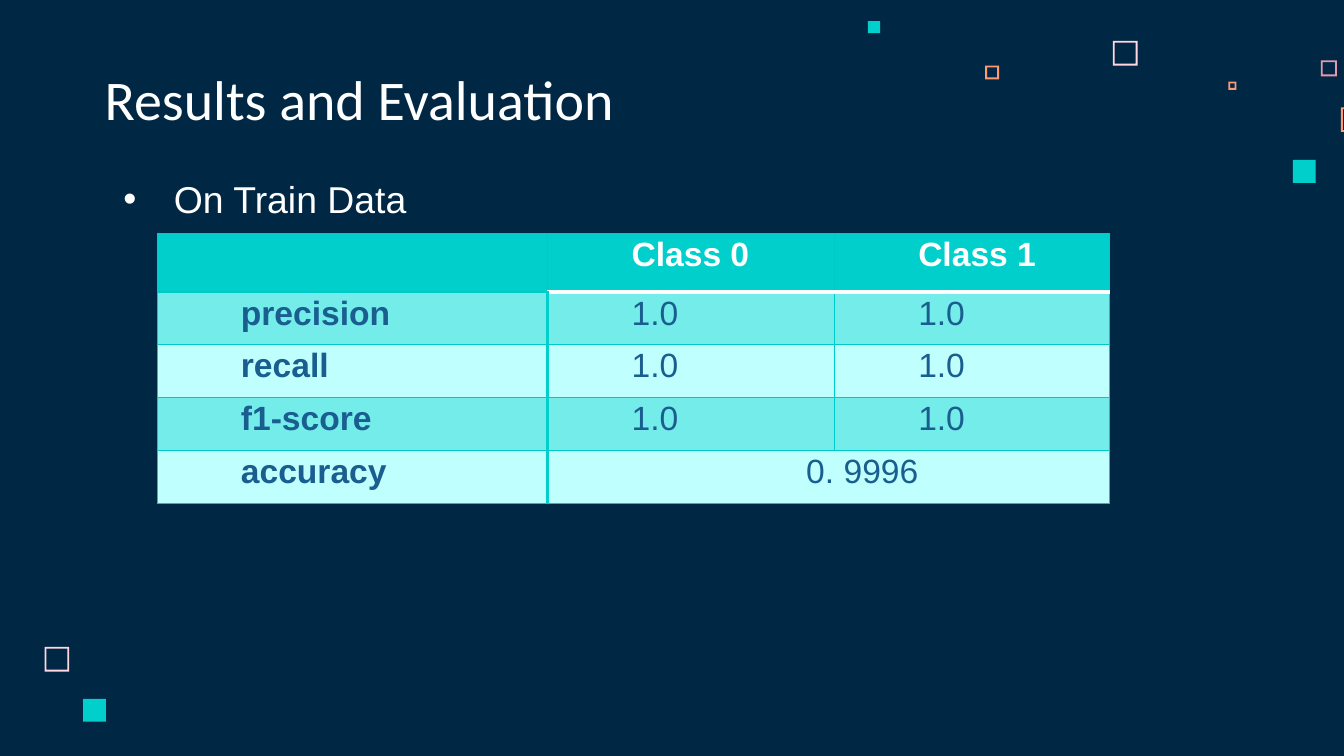
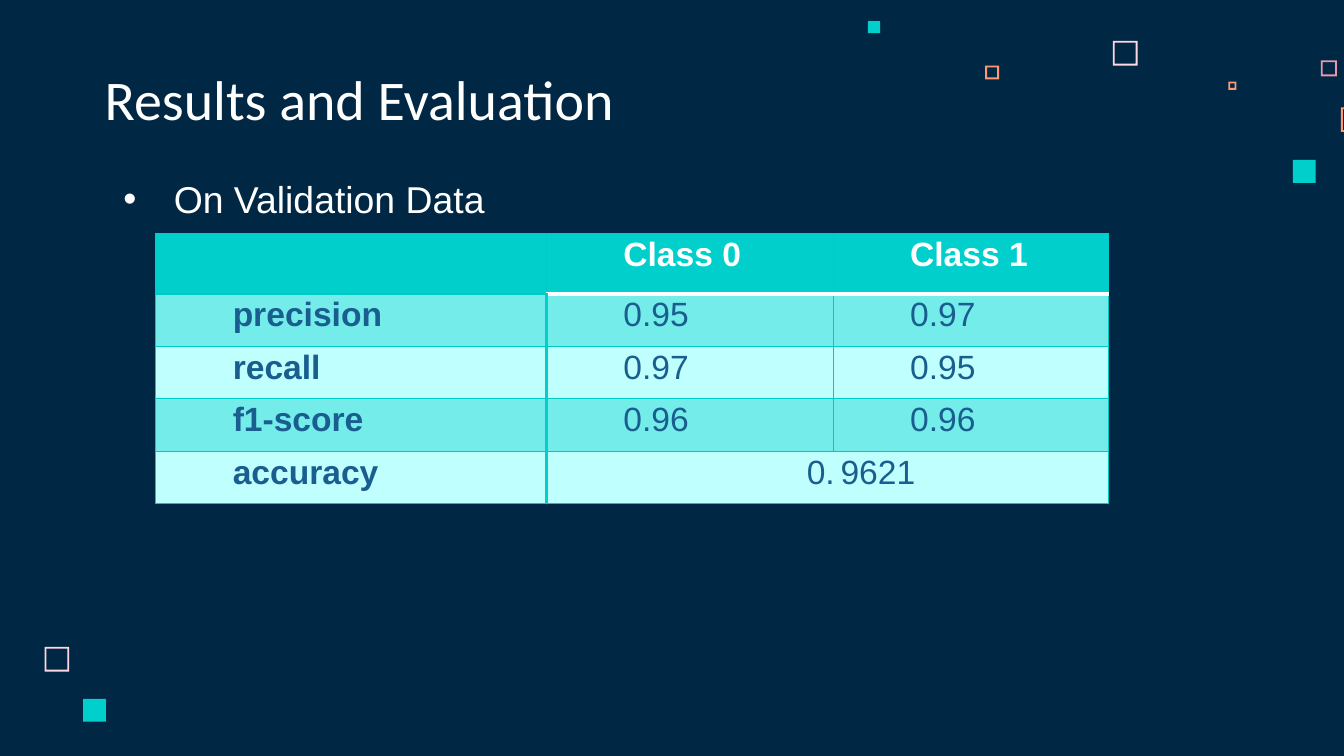
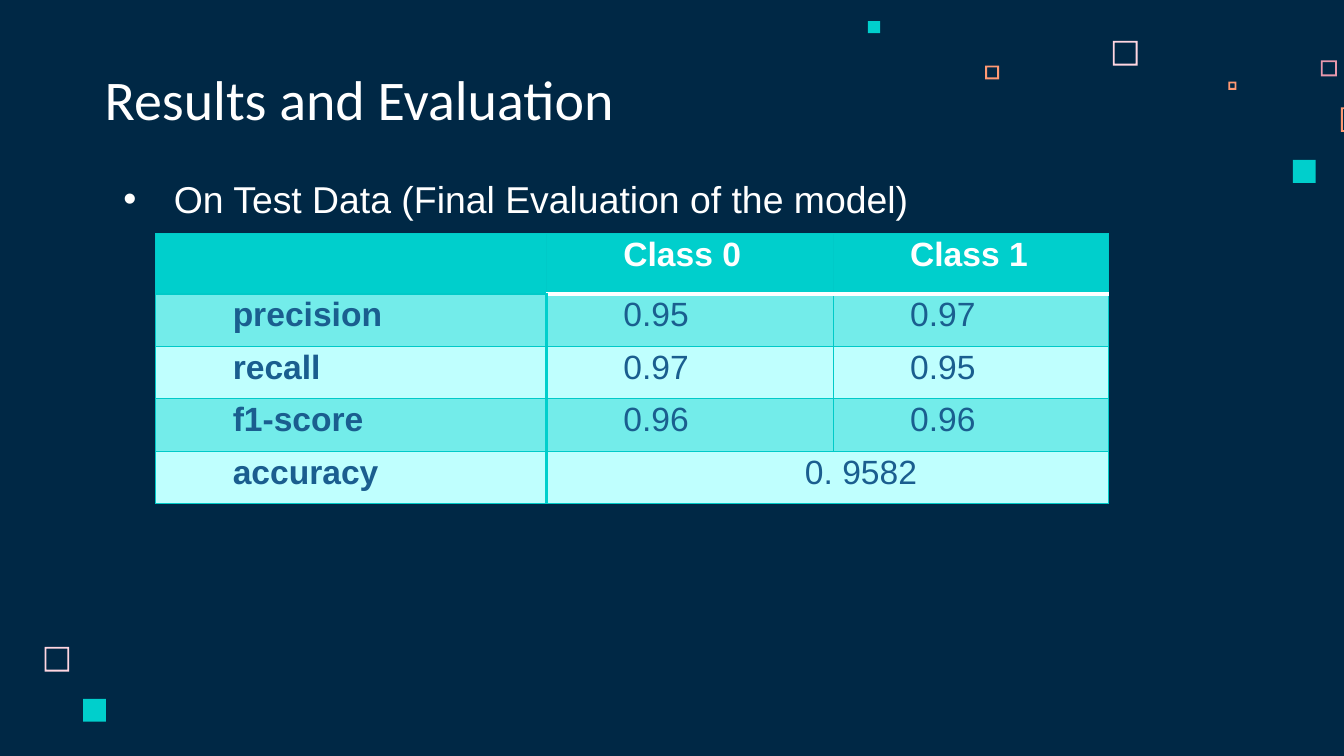
"""Build three slides that report a model's scores on train, validation and test data."""
from dataclasses import dataclass
from typing import Any

import pptx
import pptx.dml.color
import pptx.enum.shapes
import pptx.enum.text
import pptx.oxml
import pptx.oxml.ns
import pptx.util

Pt = pptx.util.Pt
RGBColor = pptx.dml.color.RGBColor
ANCHOR = pptx.enum.text.MSO_ANCHOR
ALIGN = pptx.enum.text.PP_ALIGN

NAVY = RGBColor(0x00, 0x28, 0x45)
WHITE = RGBColor(0xFF, 0xFF, 0xFF)
TEAL = RGBColor(0x00, 0xCF, 0xCC)
EDGE = RGBColor(0x00, 0xCA, 0xC8)
AQUA = RGBColor(0x73, 0xEC, 0xEA)
PALE = RGBColor(0xBF, 0xFF, 0xFE)
BLUE = RGBColor(0x1A, 0x5E, 0x8F)
BLUSH = RGBColor(0xFF, 0xD6, 0xE1)
ROSE = RGBColor(0xE8, 0x98, 0xAC)
CORAL = RGBColor(0xFF, 0x99, 0x73)

RIM = 1
COLS = (209.3, 153.6, 147.4)
HEADS = ("", "Class 0", "Class 1")
LABELS = ("precision", "recall", "f1-score")
TITLE = {"size": Pt(30), "name": "Calibri"}
BODY = {"size": Pt(20), "name": "Arial"}
CELL = {"size": Pt(18), "name": "Arial"}
GAP = {"size": Pt(11), "name": "Arial"}
FRAME = {
    "word_wrap": True,
    "vertical_anchor": ANCHOR.BOTTOM,
    "margin_left": Pt(7.2),
    "margin_right": Pt(7.2),
    "margin_top": Pt(7.2),
    "margin_bottom": Pt(7.2),
}


@dataclass(frozen=True)
class Square:
    """A decorative square, solid or hollow."""

    left: float
    top: float
    side: float
    color: RGBColor
    hollow: bool = True


@dataclass(frozen=True)
class Report:
    """One slide's caption, scores and table measures."""

    caption: str
    scores: tuple[tuple[str, str], ...]
    total: tuple[str, ...]
    left: float = 83.5
    head: float = 32.2
    row: float = 28.1
    inset: float = 5.2


SQUARES = (
    Square(596.2, 21.9, 13.2, BLUSH),
    Square(707.6, 32.3, 8.6, ROSE),
    Square(658, 43.7, 4.4, CORAL),
    Square(718.4, 57.5, 13.2, CORAL),
    Square(692.6, 85.7, 12.3, TEAL, False),
    Square(527.8, 35.1, 7.4, CORAL),
    Square(465, 11.3, 6.5, TEAL, False),
    Square(23.9, 346.6, 13.2, BLUSH),
    Square(44.5, 374.4, 12.3, TEAL, False),
)
SPLIT = (("0.95", "0.97"), ("0.97", "0.95"), ("0.96", "0.96"))
REPORTS = (
    Report("On Train Data", (("1.0", "1.0"),) * 3, ("0. 9996",), 84.2, 31.2, 28.3, 8.9),
    Report("On Validation Data", SPLIT, ("0.", " ", "9621")),
    Report("On Test Data (Final Evaluation of the model)", SPLIT, ("0. 9582",)),
)


def dress(item: Any, looks: dict[str, Any]) -> None:
    """Set each attribute in a dict of format values."""
    for name, value in looks.items():
        setattr(item, name, value)


def paint(fill: Any, color: RGBColor) -> None:
    """Give a fill one solid colour."""
    fill.solid()
    fill.fore_color.rgb = color


def write(para: Any, text: str, color: RGBColor, looks: dict[str, Any]) -> None:
    """Add a formatted run to a paragraph."""
    run = para.add_run()
    run.text = text
    dress(run.font, looks)
    run.font.color.rgb = color


def indent(para: Any, left: float, first: float = 0) -> Any:
    """Set a paragraph's indents and return its properties."""
    props = para._p.get_or_add_pPr()
    props.set("marL", str(Pt(left)))
    props.set("indent", str(Pt(first)))
    return props


def add_box(slide: Any, box: tuple[float, ...], looks: dict[str, Any]) -> Any:
    """Add a text box and return its first paragraph."""
    frame = slide.shapes.add_textbox(*map(Pt, box)).text_frame
    dress(frame, FRAME | looks)
    return frame.paragraphs[0]


def corners(square: Square, pad: float) -> list[tuple[int, int]]:
    """Return the corners of a square shrunk by a pad, clockwise."""
    x, y, side = square.left + pad, square.top + pad, square.side - 2 * pad
    points = ((x, y), (x + side, y), (x + side, y + side), (x, y + side))
    return [(Pt(a), Pt(b)) for a, b in points]


def add_square(slide: Any, square: Square) -> None:
    """Draw a decorative square."""
    if square.hollow:
        outer, inner = corners(square, 0), corners(square, RIM)[::-1]
        pen = slide.shapes.build_freeform(*outer[0])
        pen.add_line_segments(outer[1:])
        pen.move_to(*inner[0])
        pen.add_line_segments(inner[1:])
        shape = pen.convert_to_shape()
    else:
        box = (square.left, square.top, square.side, square.side)
        kind = pptx.enum.shapes.MSO_SHAPE.RECTANGLE
        shape = slide.shapes.add_shape(kind, *map(Pt, box))
    paint(shape.fill, square.color)
    shape.line.fill.background()
    shape.shadow.inherit = False


def add_edges(cell: Any, row: int, col: int) -> None:
    """Draw the four borders of a table cell."""
    thin, thick, white = (EDGE, 0.75), (TEAL, 2), (WHITE, 2)
    edges = {
        "L": thick if row and col == 1 else thin,
        "R": thick if row and col == 0 else thin,
        "T": white if row == 1 and col else thin,
        "B": white if row == 0 and col else thin,
    }
    props = cell._tc.get_or_add_tcPr()
    space = pptx.oxml.ns.nsdecls("a")
    for spot, (side, (color, width)) in enumerate(edges.items()):
        props.insert(spot, pptx.oxml.parse_xml(
            f'<a:ln{side} {space} w="{Pt(width)}"><a:solidFill>'
            f'<a:srgbClr val="{color}"/></a:solidFill></a:ln{side}>'))


def add_table(slide: Any, report: Report) -> None:
    """Draw the table of scores."""
    rows = [HEADS, *((label, *pair) for label, pair in zip(LABELS, report.scores))]
    rows.append(("accuracy", report.total, ""))
    highs = (report.head, *[report.row] * (len(rows) - 1))
    box = (report.left, 125.3, sum(COLS), sum(highs))
    table = slide.shapes.add_table(len(rows), len(COLS), *map(Pt, box)).table
    dress(table, {"first_row": False, "horz_banding": False})
    for line, high in zip(table.rows, highs):
        line.height = Pt(high)
    for line, width in zip(table.columns, COLS):
        line.width = Pt(width)
    last = len(rows) - 1
    table.cell(last, 1).merge(table.cell(last, 2))
    pads = {"margin_left": Pt(report.inset), "margin_right": Pt(report.inset),
            "margin_top": 0, "margin_bottom": 0}
    for row, texts in enumerate(rows):
        for col, text in enumerate(texts):
            cell = table.cell(row, col)
            dress(cell, pads)
            paint(cell.fill, (AQUA if row % 2 else PALE) if row else TEAL)
            add_edges(cell, row, col)
            if not text:
                continue
            para = cell.text_frame.paragraphs[0]
            indent(para, 36)
            para.line_spacing = 1.07
            if row == last and col:
                para.alignment = ALIGN.CENTER
            bold = {"bold": row == 0 or col == 0}
            for part in (text,) if isinstance(text, str) else text:
                looks = GAP if part.isspace() else CELL
                write(para, part, BLUE if row else WHITE, looks | bold)


def add_slide(deck: Any, report: Report) -> None:
    """Draw one report slide."""
    slide = deck.slides.add_slide(deck.slide_layouts[6])
    paint(slide.background.fill, NAVY)
    for square in SQUARES:
        add_square(slide, square)
    para = add_box(slide, (49, 32.4, 372, 45.4), {})
    write(para, "Results and Evaluation", WHITE, TITLE)
    para = add_box(slide, (59, 77, 589, 66.2), {"margin_bottom": Pt(29.4)})
    props = indent(para, 27, -27)
    dress(para, {"line_spacing": 1.15, "space_before": Pt(1)})
    space = pptx.oxml.ns.nsdecls("a")
    for mark in (
        f'<a:buClr {space}><a:srgbClr val="{WHITE}"/></a:buClr>',
        f'<a:buFont {space} typeface="Arial"/>',
        f'<a:buChar {space} char="\u2022"/>',
    ):
        props.append(pptx.oxml.parse_xml(mark))
    write(para, report.caption, WHITE, BODY)
    add_table(slide, report)


def main() -> None:
    """Build and save the deck."""
    deck = pptx.Presentation()
    dress(deck, {"slide_width": Pt(720), "slide_height": Pt(405)})
    for report in REPORTS:
        add_slide(deck, report)
    deck.save("out.pptx")


main()
